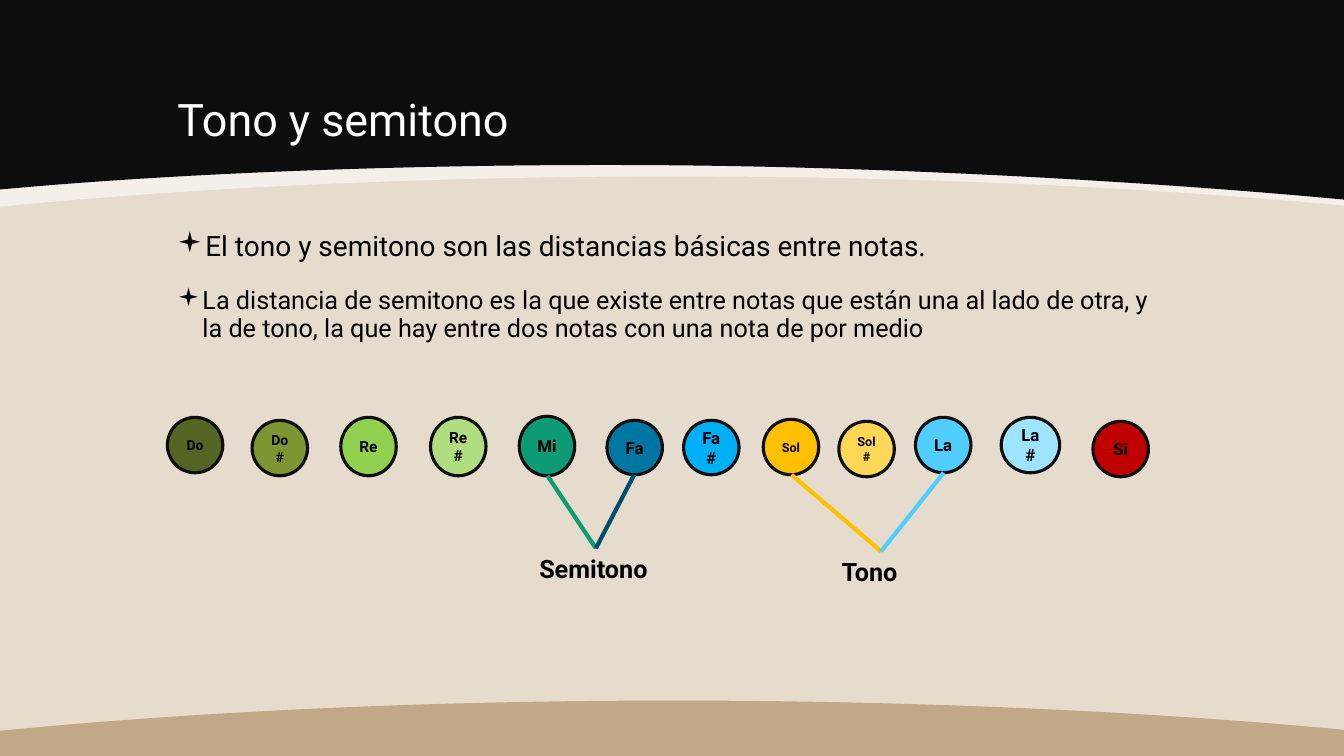
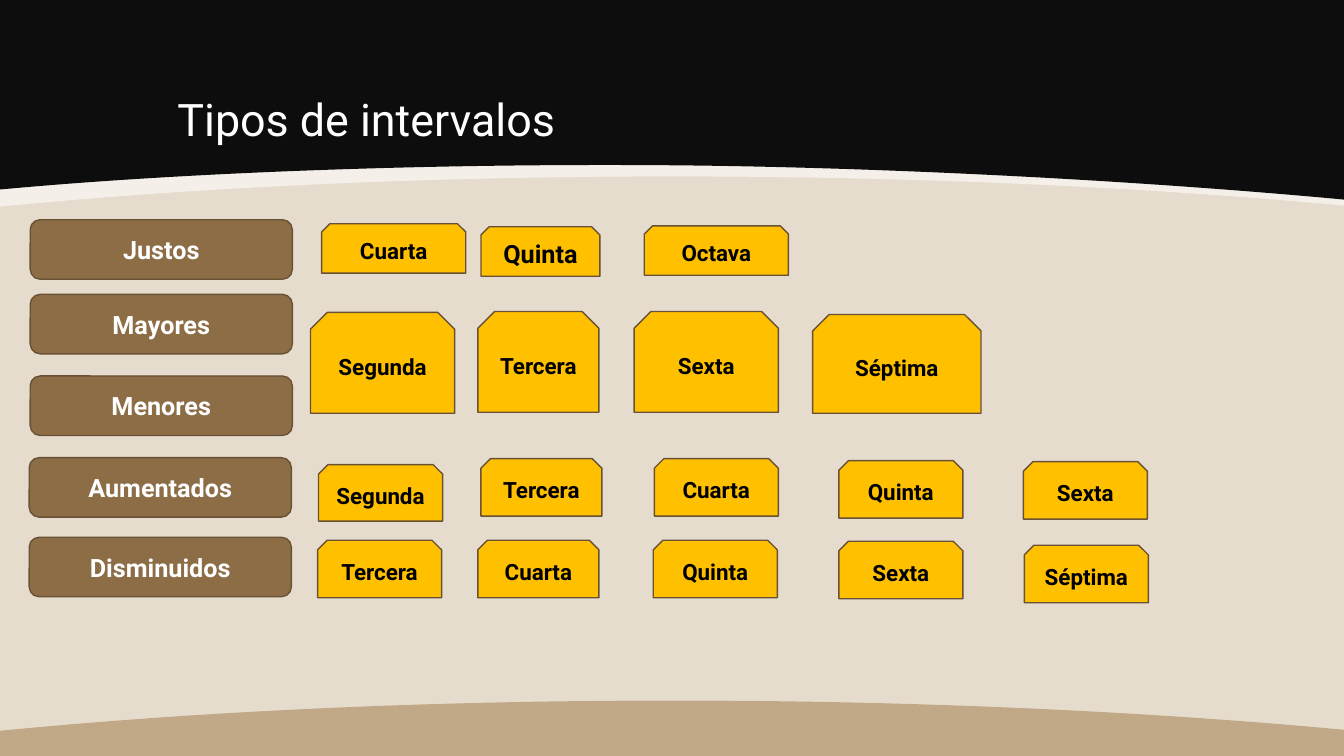
"""Build two music theory slides: tones and semitones, and types of intervals."""
import lxml.etree
import pptx
import pptx.dml.color
import pptx.enum.shapes
import pptx.enum.text
import pptx.oxml.ns
import pptx.util

RGBColor = pptx.dml.color.RGBColor
Shape = pptx.enum.shapes.MSO_SHAPE
Anchor = pptx.enum.text.MSO_ANCHOR
Align = pptx.enum.text.PP_ALIGN
qn = pptx.oxml.ns.qn

PX = 9144
WIDTH, HEIGHT = 1333, 750
FONT = "Roboto"
BULLET_FONT = "Wingdings"
TITLE_ONLY = 5

BLACK = RGBColor(0x00, 0x00, 0x00)
WHITE = RGBColor(0xFF, 0xFF, 0xFF)
SAND = RGBColor(0xE6, 0xDC, 0xCE)
CREAM = RGBColor(0xFA, 0xF8, 0xF5)
INK = RGBColor(0x0D, 0x0D, 0x0D)
TAN = RGBColor(0xC1, 0xA8, 0x86)
BROWN = RGBColor(0x8C, 0x6D, 0x46)
DARK_BROWN = RGBColor(0x68, 0x51, 0x34)
OLIVE = RGBColor(0x54, 0x64, 0x22)
LIGHT_OLIVE = RGBColor(0x7E, 0x96, 0x32)
GREEN = RGBColor(0x92, 0xD0, 0x50)
LIGHT_GREEN = RGBColor(0xB0, 0xDD, 0x7F)
TEAL = RGBColor(0x0C, 0x9B, 0x74)
BLUE = RGBColor(0x00, 0x76, 0xA3)
NAVY = RGBColor(0x00, 0x4E, 0x6C)
BRIGHT_BLUE = RGBColor(0x00, 0xB0, 0xF6)
AMBER = RGBColor(0xFF, 0xC0, 0x00)
LIGHT_AMBER = RGBColor(0xFF, 0xD7, 0x57)
SKY = RGBColor(0x4F, 0xCE, 0xFF)
LIGHT_SKY = RGBColor(0x9F, 0xE4, 0xFF)
RED = RGBColor(0xC0, 0x00, 0x00)

BANDS = [
    (CREAM, 70, [(0, 0), (1333, 0)],
     [(1333, 204), (1140, 186), (912, 175), (668, 175), (423, 175), (194, 186), (0, 205)]),
    (INK, 100, [(0, 0), (1333, 0)],
     [(1333, 198), (1140, 180), (889, 166), (668, 164), (445, 162), (194, 170), (0, 188)]),
    (TAN, 100, [(1333, 750), (0, 750)],
     [(0, 725), (194, 706), (423, 695), (668, 695), (912, 695), (1140, 706), (1333, 724)]),
]

BULLETS = [
    ("El tono y semitono son las distancias básicas entre notas.", 20),
    ("La distancia de semitono es la que existe entre notas que están una al lado de otra, "
     "y la de tono, la que hay entre dos notas con una nota de por medio", 18),
]

NOTES = [
    ("Do", (166, 414, 55, 55), OLIVE, 10),
    ("Do#", (250, 417, 55, 55), LIGHT_OLIVE, 10),
    ("Re", (338, 414, 55, 58), GREEN, 11),
    ("Re#", (427, 414, 55, 58), LIGHT_GREEN, 11),
    ("Mi", (515, 413, 55, 59), TEAL, 12),
    ("Fa", (602, 417, 55, 54), BLUE, 12),
    ("Fa#", (678, 417, 55, 54), BRIGHT_BLUE, 12),
    ("Sol", (757, 416, 55, 55), AMBER, 9),
    ("Sol#", (832, 418, 55, 55), LIGHT_AMBER, 9),
    ("La", (908, 414, 55, 55), SKY, 12),
    ("La#", (993, 414, 58, 55), LIGHT_SKY, 12),
    ("Si", (1084, 418, 55, 55), RED, 12),
]

DISTANCES = [
    ("Semitono", (525, 544, 132, 40), (591, 544), [((543, 472), TEAL), ((629, 471), NAVY)]),
    ("Tono", (825, 547, 98, 40), (874, 547), [((785, 471), AMBER), ((936, 469), SKY)]),
]

INTERVAL_TYPES = [
    ("Justos", 30, 218), ("Mayores", 30, 292), ("Menores", 30, 373),
    ("Aumentados", 29, 454), ("Disminuidos", 29, 533),
]

INTERVALS = [
    ("Cuarta", (319, 222, 143, 49), 16),
    ("Quinta", (477, 225, 118, 49), 18),
    ("Octava", (639, 224, 143, 49), 16),
    ("Segunda", (308, 310, 143, 100), 16),
    ("Tercera", (474, 309, 120, 100), 16),
    ("Sexta", (629, 309, 143, 100), 16),
    ("Séptima", (806, 312, 167, 98), 16),
    ("Segunda", (316, 461, 123, 56), 16),
    ("Tercera", (477, 455, 120, 57), 16),
    ("Cuarta", (649, 455, 123, 57), 16),
    ("Quinta", (832, 457, 123, 57), 16),
    ("Sexta", (1015, 458, 123, 57), 16),
    ("Tercera", (315, 536, 123, 57), 16),
    ("Cuarta", (474, 536, 120, 57), 16),
    ("Quinta", (648, 536, 123, 57), 16),
    ("Sexta", (832, 537, 123, 57), 16),
    ("Séptima", (1016, 541, 123, 57), 16),
]


def emu(*lengths):
    """Turn px lengths into EMU."""
    return [length * PX for length in lengths]


def bend_lines(freeform, straight_count):
    """Turn each three lines after the straight ones into one cubic curve."""
    lines = list(freeform.element.iter(qn("a:lnTo")))[straight_count:]
    for start in range(0, len(lines) - 2, 3):
        curve = lxml.etree.Element(qn("a:cubicBezTo"))
        lines[start].addprevious(curve)
        for line in lines[start:start + 3]:
            curve.append(line[0])
            line.getparent().remove(line)


def add_bands(master, slide):
    """Give the master its curved bands, drawn on a slide and moved behind its placeholders."""
    for index, (color, opacity, corners, curve) in enumerate(BANDS):
        start, *others = [tuple(emu(*point)) for point in corners + curve]
        builder = slide.shapes.build_freeform(*start)
        builder.add_line_segments(others, close=True)
        band = builder.convert_to_shape()
        bend_lines(band, len(corners))
        band.shadow.inherit = False
        band.fill.solid()
        band.fill.fore_color.rgb = color
        band.line.fill.background()
        if opacity < 100:
            fill_color = band.element.spPr.find(".//" + qn("a:srgbClr"))
            lxml.etree.SubElement(fill_color, qn("a:alpha"), val=str(opacity * 1000))
        band.element.nvSpPr.cNvPr.set("id", str(100 + index))
        master.shapes.element.insert(2 + index, band.element)


def format_paragraph(paragraph, size, color, bold=False, align=Align.LEFT):
    """Set the font and alignment of a paragraph."""
    paragraph.alignment = align
    paragraph.font.name = FONT
    paragraph.font.size = pptx.util.Pt(size)
    paragraph.font.bold = bold
    paragraph.font.color.rgb = color


def add_title_slide(presentation, text, width):
    """Add a slide with a formatted title."""
    slide = presentation.slides.add_slide(presentation.slide_layouts[TITLE_ONLY])
    title = slide.shapes.title
    title.left, title.top, title.width, title.height = emu(166, 30, width, 120)
    frame = title.text_frame
    frame.text = text
    frame.word_wrap = True
    frame.auto_size = pptx.enum.text.MSO_AUTO_SIZE.NONE
    frame.vertical_anchor = Anchor.BOTTOM
    format_paragraph(frame.paragraphs[0], 32, WHITE)
    frame.paragraphs[0].line_spacing = 0.9
    return slide


def add_bullets(slide, box, items):
    """Add a text box of bulleted paragraphs."""
    frame = slide.shapes.add_textbox(*emu(*box)).text_frame
    frame.word_wrap = True
    for index, (text, size) in enumerate(items):
        paragraph = frame.add_paragraph() if index else frame.paragraphs[0]
        paragraph.text = text
        format_paragraph(paragraph, size, BLACK)
        paragraph.line_spacing = 0.9
        paragraph.space_before = pptx.util.Pt(18)
        properties = paragraph._p.get_or_add_pPr()
        indent = emu(25)[0]
        properties.set("marL", str(indent))
        properties.set("indent", str(-indent))
        font_properties = properties.find(qn("a:defRPr"))
        for tag, name, value in (("a:buFont", "typeface", BULLET_FONT), ("a:buChar", "char", "▪")):
            font_properties.addprevious(lxml.etree.Element(qn(tag), {name: value}))


def add_label(slide, text, box):
    """Add a bold caption."""
    frame = slide.shapes.add_textbox(*emu(*box)).text_frame
    frame.word_wrap = True
    frame.text = text
    format_paragraph(frame.paragraphs[0], 18, BLACK, bold=True)


def add_shape(slide, kind, text, box, fill, outline, size, color=BLACK):
    """Add a filled preset shape with bold centred text."""
    shape = slide.shapes.add_shape(kind, *emu(*box))
    shape.shadow.inherit = False
    shape.fill.solid()
    shape.fill.fore_color.rgb = fill
    line_color, line_width = outline
    shape.line.color.rgb = line_color
    shape.line.width = pptx.util.Pt(line_width)
    frame = shape.text_frame
    frame.word_wrap = True
    frame.margin_left, frame.margin_right = emu(9, 9)
    frame.vertical_anchor = Anchor.MIDDLE
    frame.text = text
    format_paragraph(frame.paragraphs[0], size, color, bold=True, align=Align.CENTER)


def add_line(slide, start, end, color):
    """Add a straight line without a shadow."""
    connector = slide.shapes.add_connector(
        pptx.enum.shapes.MSO_CONNECTOR.STRAIGHT, *emu(*start, *end))
    connector.line.color.rgb = color
    connector.line.width = pptx.util.Pt(3)
    lxml.etree.SubElement(connector.element.spPr, qn("a:effectLst"))


def fill_tone_slide(slide):
    """Show the twelve notes and the two distances between them."""
    add_bullets(slide, (166, 226, 988, 136), BULLETS)
    for name, box, color, size in NOTES:
        add_shape(slide, Shape.FLOWCHART_CONNECTOR, name, box, color, (INK, 2.25), size)
    for name, box, meeting_point, arms in DISTANCES:
        for start, color in arms:
            add_line(slide, start, meeting_point, color)
        add_label(slide, name, box)


def fill_interval_slide(slide):
    """Show the interval types and the intervals of each."""
    outline = (DARK_BROWN, 1)
    for name, left, top in INTERVAL_TYPES:
        add_shape(slide, Shape.ROUNDED_RECTANGLE, name, (left, top, 260, 59),
                  BROWN, outline, 18, WHITE)
    for name, box, size in INTERVALS:
        add_shape(slide, Shape.SNIP_2_SAME_RECTANGLE, name, box, AMBER, outline, size)


def main():
    """Build and save the presentation."""
    presentation = pptx.Presentation()
    presentation.slide_width, presentation.slide_height = emu(WIDTH, HEIGHT)
    master = presentation.slide_master
    master.background.fill.solid()
    master.background.fill.fore_color.rgb = SAND
    tone_slide = add_title_slide(presentation, "Tono y semitono", 1000)
    add_bands(master, tone_slide)
    fill_tone_slide(tone_slide)
    fill_interval_slide(add_title_slide(presentation, "Tipos de intervalos", 469))
    presentation.save("out.pptx")


if __name__ == "__main__":
    main()
